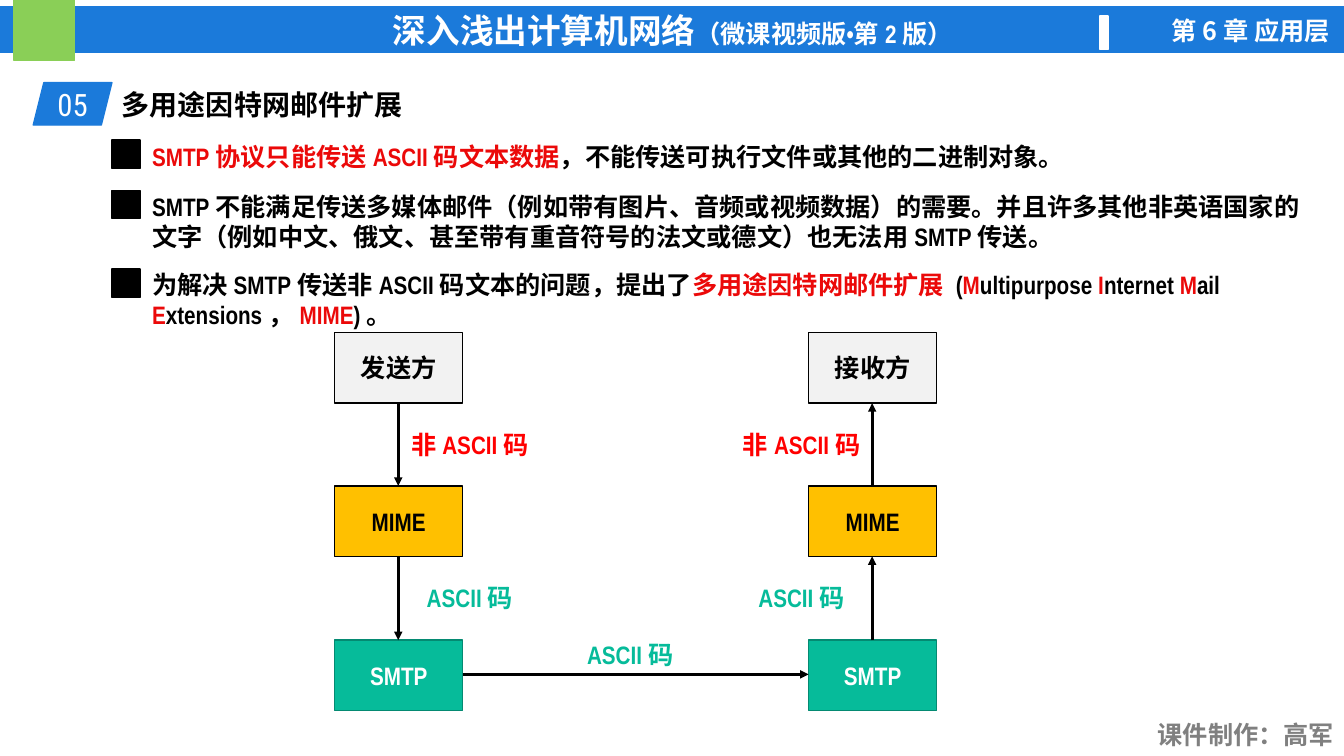
from pptx import Presentation
from pptx.dml.color import RGBColor as RGB
from pptx.enum.shapes import MSO_CONNECTOR as CONN, MSO_SHAPE as SHAPE
from pptx.enum.text import MSO_ANCHOR as ANCHOR, MSO_AUTO_SIZE as FIT, PP_ALIGN as ALIGN
from pptx.oxml.ns import qn
from pptx.util import Pt
from lxml.etree import SubElement

PX = 9144
C = {
    "blue": "1B7ADA", "leaf": "8ACF57", "white": "FFFFFF", "black": "000000",
    "gray": "808080", "pale": "F2F2F2", "amber": "FFC000", "teal": "06BB9A",
    "pine": "048A72", "crimson": "EB0909", "red": "FF0000",
}

prs = Presentation()
prs.slide_width, prs.slide_height = 1333 * PX, 750 * PX
s = prs.slides.add_slide(prs.slide_layouts[6])


def add_text(runs, box, shape=None, fill=None, line=None, color="black", size=18,
             font="Arial Narrow", bold=True, align=ALIGN.CENTER, anchor=ANCHOR.MIDDLE,
             fit=FIT.NONE):
    x, y, w, h = [v * PX for v in box]
    if shape is None:
        sp = s.shapes.add_textbox(x, y, w, h)
    else:
        sp = s.shapes.add_shape(shape, x, y, w, h)
        sp.shadow.inherit = False
        sp.fill.solid()
        sp.fill.fore_color.rgb = RGB.from_string(C[fill])
        sp.line.color.rgb = RGB.from_string(C[line or fill])
        sp.line.width = Pt(1)
    tf = sp.text_frame
    tf.word_wrap = True
    tf.auto_size = fit
    tf.vertical_anchor = anchor
    p = tf.paragraphs[0]
    p.alignment = align
    for text, run_color, run_size in runs:
        r = p.add_run()
        r.text = text
        r.font.size = Pt(run_size or size)
        r.font.bold = bold
        r.font.color.rgb = RGB.from_string(C[run_color or color])
        r.font.name = font
        SubElement(r.font._element, qn("a:ea")).set("typeface", font)


def add_arrow(x1, y1, x2, y2):
    cn = s.shapes.add_connector(CONN.STRAIGHT, x1 * PX, y1 * PX, x2 * PX, y2 * PX)
    cn.line.color.rgb = RGB.from_string(C["black"])
    cn.line.width = Pt(2)
    SubElement(cn.line._get_or_add_ln(), qn("a:tailEnd")).set("type", "triangle")
    SubElement(cn._element.spPr, qn("a:effectLst"))


add_text([("深入浅出计算机网络", None, 24), ("（微课视频版•第2版）", None, 18)],
         (0, 7, 1335, 45), SHAPE.RECTANGLE, "blue", color="white")
add_text([], (14, 0, 60, 60), SHAPE.RECTANGLE, "leaf")
add_text([], (1091, 16, 8, 33), SHAPE.RECTANGLE, "white")
add_text([("第6章 应用层", None, None)], (1111, 10, 218, 40), color="white",
         font="Noto Sans CJK SC", align=ALIGN.RIGHT, anchor=ANCHOR.TOP, fit=FIT.SHAPE_TO_FIT_TEXT)
add_text([("课件制作：高军", None, None)], (1134, 709, 199, 40), color="gray",
         align=ALIGN.RIGHT, anchor=ANCHOR.TOP, fit=FIT.SHAPE_TO_FIT_TEXT)
add_text([("05", None, None)], (33, 82, 78, 42), SHAPE.PARALLELOGRAM, "blue",
         color="white", size=22, font="Roboto Condensed", bold=False)
add_text([("多用途因特网邮件扩展", None, None)], (111, 82, 959, 44), size=20,
         align=ALIGN.LEFT, anchor=ANCHOR.TOP, fit=FIT.SHAPE_TO_FIT_TEXT)

points = [
    (139, 130, 50, [("SMTP协议只能传送ASCII码文本数据", "crimson"),
                    ("，不能传送可执行文件或其他的二进制对象。", "black")]),
    (189, 181, 78, [("SMTP不能满足传送多媒体邮件（例如带有图片、音频或视频数据）的需要。"
                     "并且许多其他非英语国家的文字（例如中文、俄文、甚至带有重音符号的法文或德文）"
                     "也无法用SMTP传送。", "black")]),
    (267, 258, 78, [("为解决SMTP传送非ASCII码文本的问题，提出了", "black"),
                    ("多用途因特网邮件扩展 ", "crimson"), ("(", "black"),
                    ("M", "crimson"), ("ultipurpose ", "black"),
                    ("I", "crimson"), ("nternet ", "black"),
                    ("M", "crimson"), ("ail ", "black"),
                    ("E", "crimson"), ("xtensions，", "black"),
                    ("MIME", "crimson"), (")。", "black")]),
]
for bullet_y, y, h, runs in points:
    add_text([], (111, bullet_y, 28, 28), SHAPE.RECTANGLE, "black")
    add_text([(text, color, None) for text, color in runs], (141, y, 1159, h), align=ALIGN.LEFT)

BOX_W, BOX_H = 127, 70
ROWS = [330, 482, 635]
SENDER, RECEIVER = 332, 802
for x, party in [(SENDER, "发送方"), (RECEIVER, "接收方")]:
    layers = [(party, "pale", "black", "black"), ("MIME", "amber", "black", "black"),
              ("SMTP", "teal", "pine", "white")]
    for y, (name, fill, line, color) in zip(ROWS, layers):
        add_text([(name, None, None)], (x, y, BOX_W, BOX_H), SHAPE.RECTANGLE, fill, line, color)

send_x, receive_x = SENDER + BOX_W // 2, RECEIVER + BOX_W // 2
labels = [(send_x, 554, 629, "ASCII码", "teal")]
for top, bottom, text, color in [(ROWS[0], ROWS[1], "非ASCII码", "red"),
                                 (ROWS[1], ROWS[2], "ASCII码", "teal")]:
    add_arrow(send_x, top + BOX_H, send_x, bottom)
    add_arrow(receive_x, bottom, receive_x, top + BOX_H)
    labels += [(send_x, x, top + 91, text, color) for x in (395, 724)]
add_arrow(SENDER + BOX_W, 669, RECEIVER, 669)
for _, x, y, text, color in labels:
    add_text([(text, None, None)], (x, y, 142, 40), color=color, anchor=ANCHOR.TOP,
             fit=FIT.SHAPE_TO_FIT_TEXT)

prs.save("out.pptx")
